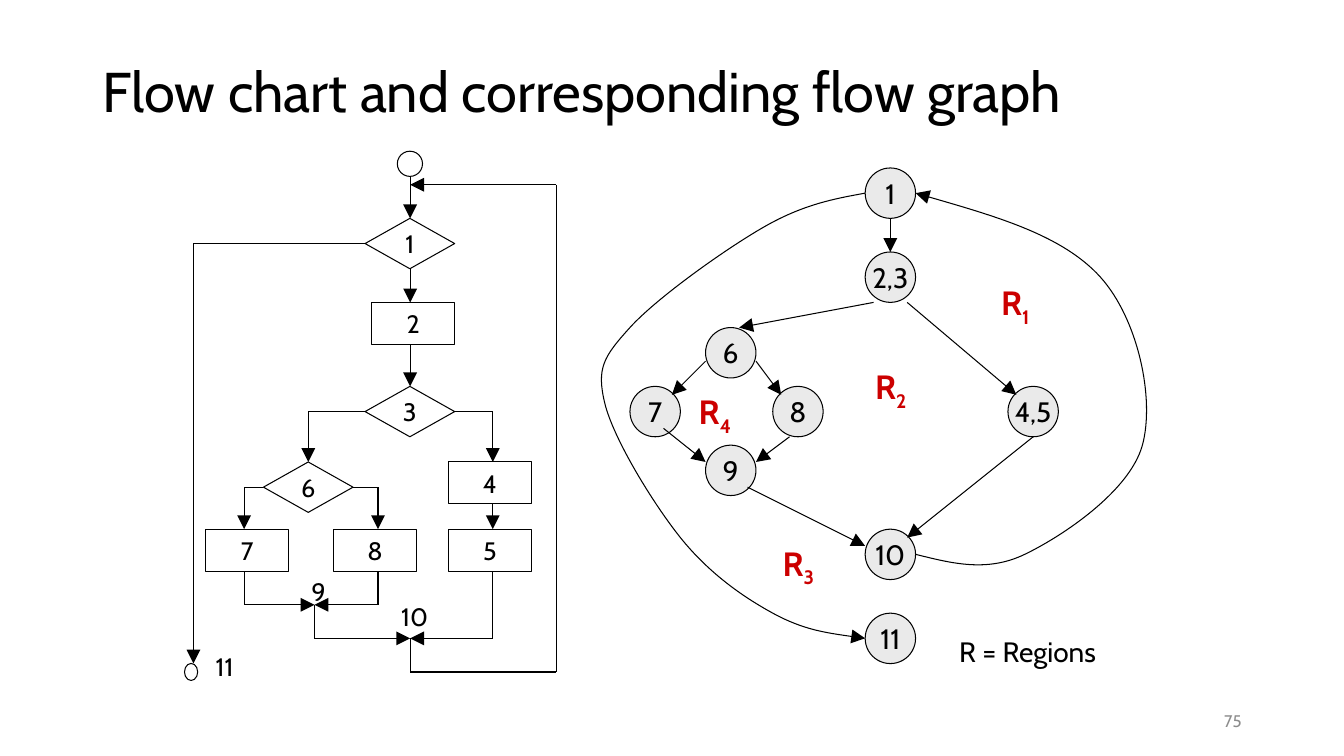
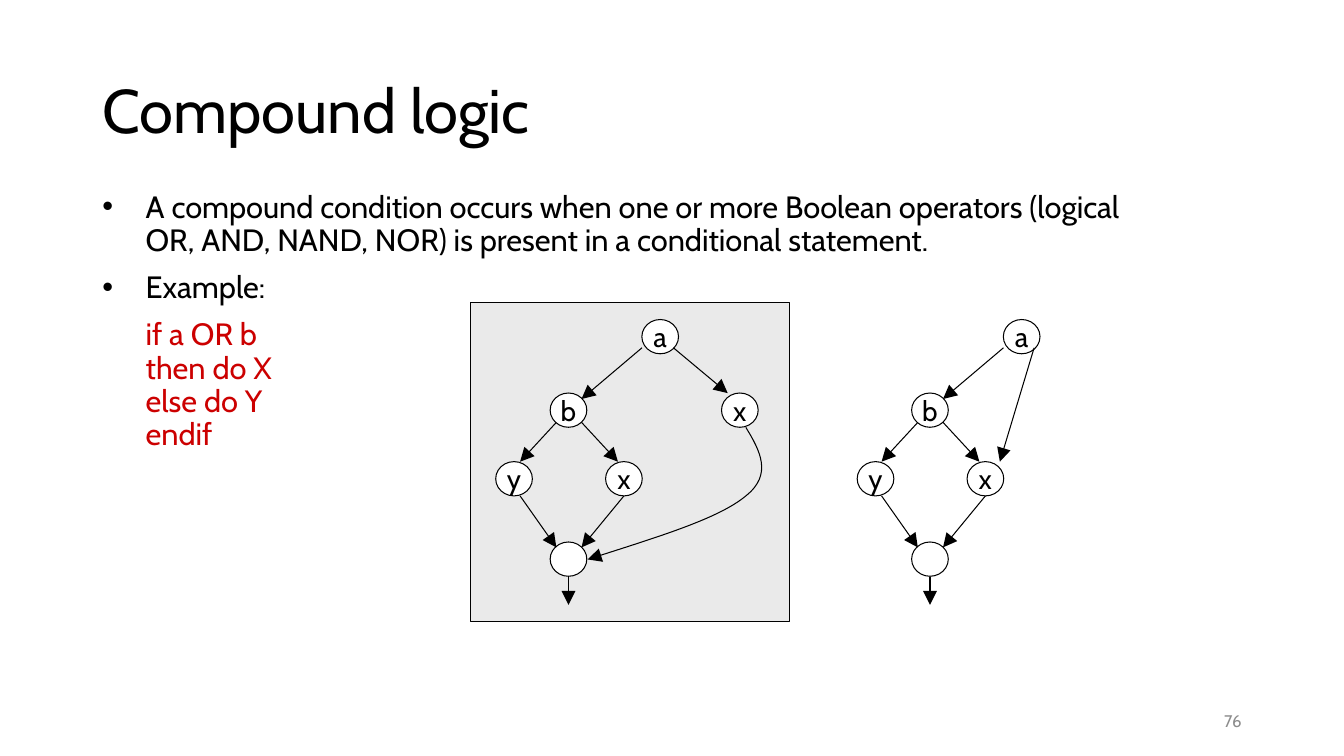
from lxml.etree import SubElement
from pptx import Presentation
from pptx.dml.color import RGBColor
from pptx.enum.shapes import MSO_CONNECTOR, MSO_SHAPE
from pptx.enum.text import MSO_ANCHOR, PP_ALIGN
from pptx.oxml.ns import qn
from pptx.util import Pt

BLACK = "000000"
WHITE = "FFFFFF"
PALE = "EAEAEA"
RED = "CC0000"
GREY = "8C8C8C"


def color(value):
    return RGBColor.from_string(value)


class Slides:
    font = "Cabin"
    line_width = 0.75

    def __init__(self):
        self.deck = Presentation()
        self.deck.slide_width = Pt(960)
        self.deck.slide_height = Pt(540)
        self.page = None

    def new_page(self, title, number, top, size):
        self.page = self.deck.slides.add_slide(self.deck.slide_layouts[6])
        heading = self.text(title, 66, top, 828, 104.4, size, anchor=MSO_ANCHOR.MIDDLE)
        heading.line_spacing = 0.9
        self.text(number, 678, 500.4, 216, 28.8, 12, GREY, PP_ALIGN.RIGHT, MSO_ANCHOR.MIDDLE)

    def span(self, para, words, size, ink=BLACK, bold=False):
        span = para.add_run()
        span.text = words
        span.font.name = self.font
        span.font.size = Pt(size)
        span.font.bold = bold
        span.font.color.rgb = color(ink)
        return span

    def frame(self, left, top, width, height, anchor=MSO_ANCHOR.TOP):
        box = self.page.shapes.add_textbox(Pt(left), Pt(top), Pt(width), Pt(height))
        box.text_frame.word_wrap = True
        box.text_frame.vertical_anchor = anchor
        return box.text_frame

    def text(self, words, left, top, width, height, size, ink=BLACK,
             align=PP_ALIGN.LEFT, anchor=MSO_ANCHOR.TOP):
        para = self.frame(left, top, width, height, anchor).paragraphs[0]
        para.alignment = align
        self.span(para, words, size, ink)
        return para

    def region(self, number, left, top):
        para = self.frame(left, top, 60, 36).paragraphs[0]
        self.span(para, "R", 24, RED, True)
        subscript = self.span(para, number, 24, RED, True)
        subscript.font._element.set("baseline", "-25000")

    def bullets(self, items, code, left, top, width, height, size):
        frame = self.frame(left, top, width, height)
        for index, lines in enumerate([[item] for item in items] + [code]):
            para = frame.paragraphs[0] if index == 0 else frame.add_paragraph()
            para.line_spacing = 0.9
            if index:
                para.space_before = Pt(10)
            is_bullet = index < len(items)
            properties = para._p.get_or_add_pPr()
            properties.set("marL", str(Pt(31)))
            properties.set("indent", str(Pt(-31) if is_bullet else 0))
            if is_bullet:
                SubElement(properties, qn("a:buFont"), typeface="Arial")
                SubElement(properties, qn("a:buChar"), char="•")
            para.font.size = Pt(size)
            for row, words in enumerate(lines):
                if row:
                    para.add_line_break()
                self.span(para, words, size, BLACK if is_bullet else RED)

    def outline(self, shape):
        shape.line.color.rgb = color(BLACK)
        shape.line.width = Pt(self.line_width)

    def node(self, kind, x, y, width, height, words="", fill=WHITE, size=18):
        shape = self.page.shapes.add_shape(
            kind, Pt(x - width / 2), Pt(y - height / 2), Pt(width), Pt(height))
        shape.shadow.inherit = False
        self.outline(shape)
        if fill:
            shape.fill.solid()
            shape.fill.fore_color.rgb = color(fill)
        else:
            shape.fill.background()
        if words:
            shape.text_frame.word_wrap = False
            shape.text_frame.vertical_anchor = MSO_ANCHOR.MIDDLE
            para = shape.text_frame.paragraphs[0]
            para.alignment = PP_ALIGN.CENTER
            self.span(para, words, size)

    def arrowhead(self, shape):
        SubElement(shape.line._get_or_add_ln(), qn("a:tailEnd"),
                   type="triangle", w="lg", len="lg")

    def route(self, *points):
        for start, end in zip(points, points[1:]):
            line = self.page.shapes.add_connector(
                MSO_CONNECTOR.STRAIGHT, *[Pt(value) for value in start + end])
            self.outline(line)
            SubElement(line._element.spPr, qn("a:effectLst"))
        self.arrowhead(line)

    def curve(self, *points):
        corners = [(Pt(x), Pt(y)) for x, y in points]
        builder = self.page.shapes.build_freeform(*corners[0])
        builder.add_line_segments(corners[1:], close=False)
        shape = builder.convert_to_shape()
        shape.shadow.inherit = False
        shape.fill.background()
        self.outline(shape)
        self.arrowhead(shape)
        track = shape._element.find(".//" + qn("a:path"))
        segments = track.findall(qn("a:lnTo"))
        for index, segment in enumerate(segments):
            if index % 3 == 0:
                bezier = SubElement(track, qn("a:cubicBezTo"))
            bezier.append(segment[0])
            track.remove(segment)


def draw_flow_chart(slides):
    slides.node(MSO_SHAPE.OVAL, 136.5, 480, 9.4, 12.2, fill=None)
    slides.node(MSO_SHAPE.OVAL, 292.8, 117, 18, 18)
    for words, x, y in [("1", 292.8, 174), ("3", 292.8, 294), ("6", 220.2, 348)]:
        slides.node(MSO_SHAPE.DIAMOND, x, y, 64, 36, words)
    for words, x, y in [("2", 295.2, 231), ("4", 350, 345), ("5", 350, 393),
                        ("7", 176.5, 393), ("8", 268, 393)]:
        slides.node(MSO_SHAPE.RECTANGLE, x, y, 59.3, 30, words)

    middle, loop, leave = 293, 397.4, 138.2
    seven, six, join, eight, four = 174.4, 220.2, 224.6, 270, 352
    for start, end in [(126, 156), (192, 216), (246, 276)]:
        slides.route((middle, start), (middle, end))
    slides.route((260.8, 294), (six, 294), (six, 330))
    slides.route((324.8, 294), (four, 294), (four, 330))
    slides.route((four, 360), (four, 378))
    for side, column in [(188.2, seven), (252.2, eight)]:
        slides.route((side, 348), (column, 348), (column, 378))
        slides.route((column, 408), (column, 432), (join, 432))
    slides.route((join, 432), (join, 456), (middle, 456))
    slides.route((four, 408), (four, 456), (middle, 456))
    slides.route((middle, 456), (middle, 480), (loop, 480), (loop, 132), (middle, 132))
    slides.route((260.8, 174), (leave, 174), (leave, 474))

    for words, left, top, width in [("9", 215.3, 408, 18), ("10", 279.4, 426, 46),
                                    ("11", 147, 462, 46)]:
        slides.text(words, left, top, width, 29, 18)


def draw_flow_graph(slides):
    slides.curve((618, 138), (596, 142), (574, 146), (546, 162),
                 (518, 178), (469, 213), (450, 234),
                 (431, 255), (426, 263), (432, 288),
                 (438, 313), (466, 359), (486, 384),
                 (506, 409), (530, 426), (552, 438),
                 (574, 450), (596, 453), (618, 456))
    slides.curve((654, 396), (680, 402.5), (705, 409), (732, 396),
                 (759, 383), (807, 351), (816, 318),
                 (825, 285), (813, 228), (786, 198),
                 (759, 168), (706, 153), (654, 138))
    for words, x, y in [("1", 636, 138), ("2,3", 636, 198), ("10", 636, 396),
                        ("11", 636, 456), ("6", 522, 252), ("9", 522, 336),
                        ("7", 468, 294), ("8", 570, 294), ("4,5", 738, 294)]:
        slides.node(MSO_SHAPE.OVAL, x, y, 36, 36, words, PALE, 20)
    for start, end in [((636, 156), (636, 180)), ((648, 216), (726, 282)),
                       ((624, 216), (528, 234)), ((504, 258), (480, 282)),
                       ((540, 258), (558, 282)), ((474, 306), (504, 330)),
                       ((564, 312), (540, 330)), ((534, 348), (618, 390)),
                       ((738, 312), (648, 384))]:
        slides.route(start, end)
    for number, left, top in [("1", 708, 198), ("2", 618, 258),
                              ("3", 552, 384), ("4", 492, 276)]:
        slides.region(number, left, top)
    slides.text("R = Regions", 678, 450, 120, 31.7, 20)


def draw_condition(slides, shift):
    for words, x, y in [("a", 471.6, 240.5), ("b", 406.1, 293), ("x", 445.7, 342),
                        ("y", 367.2, 342), ("", 406.1, 399.4)]:
        draw_condition_node(slides, words, x + shift, y)
    for x1, y1, x2, y2 in [(458.6, 248.4, 415.4, 285), (397.4, 301.7, 371.5, 329.8),
                           (415.4, 301.7, 441.4, 329.8), (371.5, 354.2, 397.4, 391),
                           (445.7, 354.2, 415.4, 391), (406.1, 411.8, 406.1, 432)]:
        slides.route((x1 + shift, y1), (x2 + shift, y2))


def draw_condition_node(slides, words, x, y):
    slides.node(MSO_SHAPE.OVAL, x, y, 26.2, 24.5, words, size=20)


def main():
    slides = Slides()

    slides.new_page("Flow chart and corresponding flow graph", "75", 15.1, 40)
    draw_flow_chart(slides)
    draw_flow_graph(slides)

    slides.new_page("Compound logic", "76", 28.8, 44)
    slides.node(MSO_SHAPE.RECTANGLE, 450, 330, 228, 228, fill=PALE)
    slides.bullets(
        ["A compound condition occurs when one or more Boolean operators "
         "(logical OR, AND, NAND, NOR) is present in a conditional statement.",
         "Example:"],
        ["if a OR b", "then do X", "else do Y", "endif"],
        66, 133.2, 759, 342, 22)
    draw_condition(slides, 0)
    draw_condition_node(slides, "x", 528.5, 293)
    slides.route((481, 248.4), (519.8, 280.8))
    slides.curve((532.8, 305.3), (543, 322), (552, 339), (532.8, 354.2),
                 (514, 370), (466.6, 384.5), (419.8, 399.6))
    draw_condition(slides, 258.2)
    slides.route((738.7, 248.4), (714.2, 329.8))

    slides.deck.save("out.pptx")


if __name__ == "__main__":
    main()
